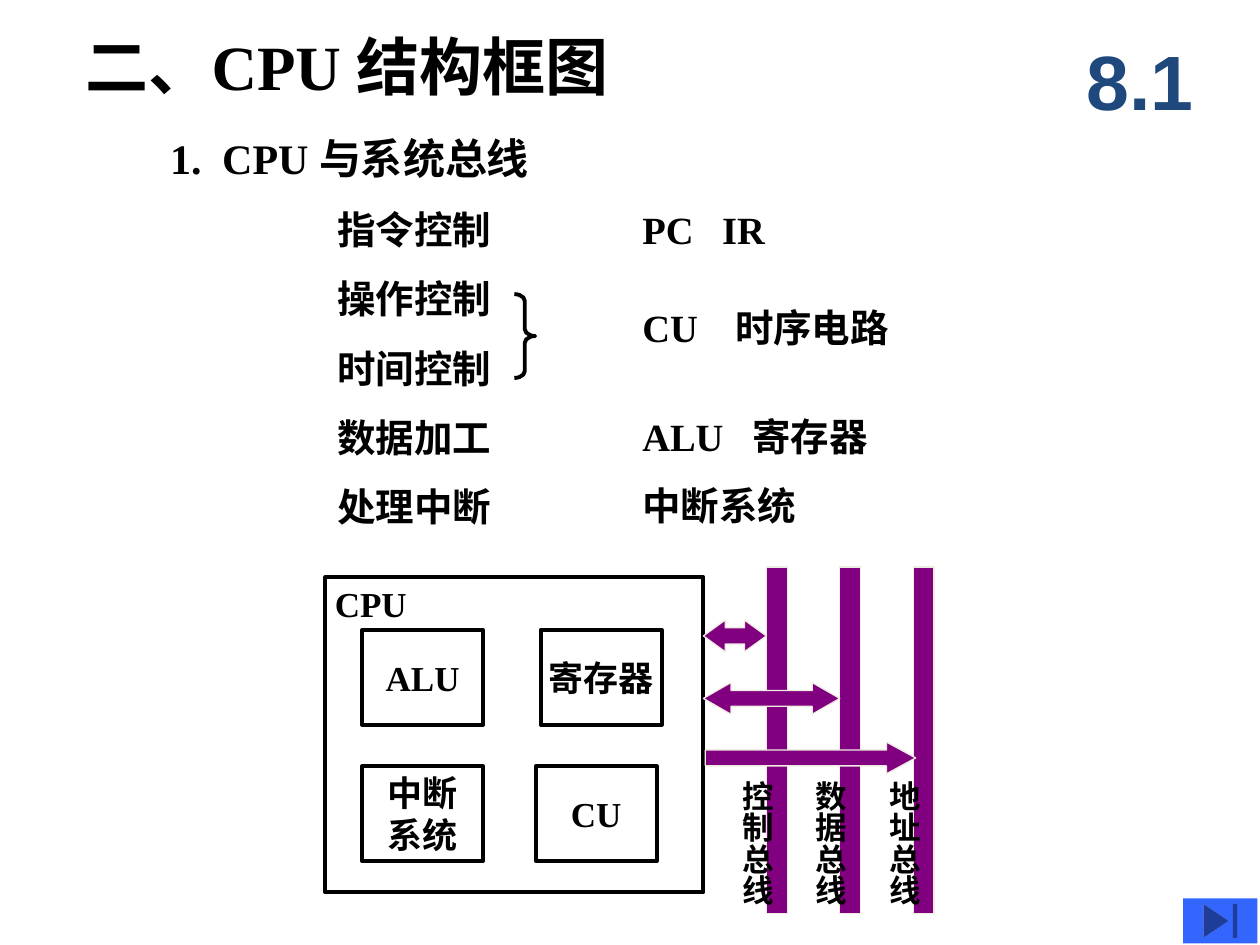
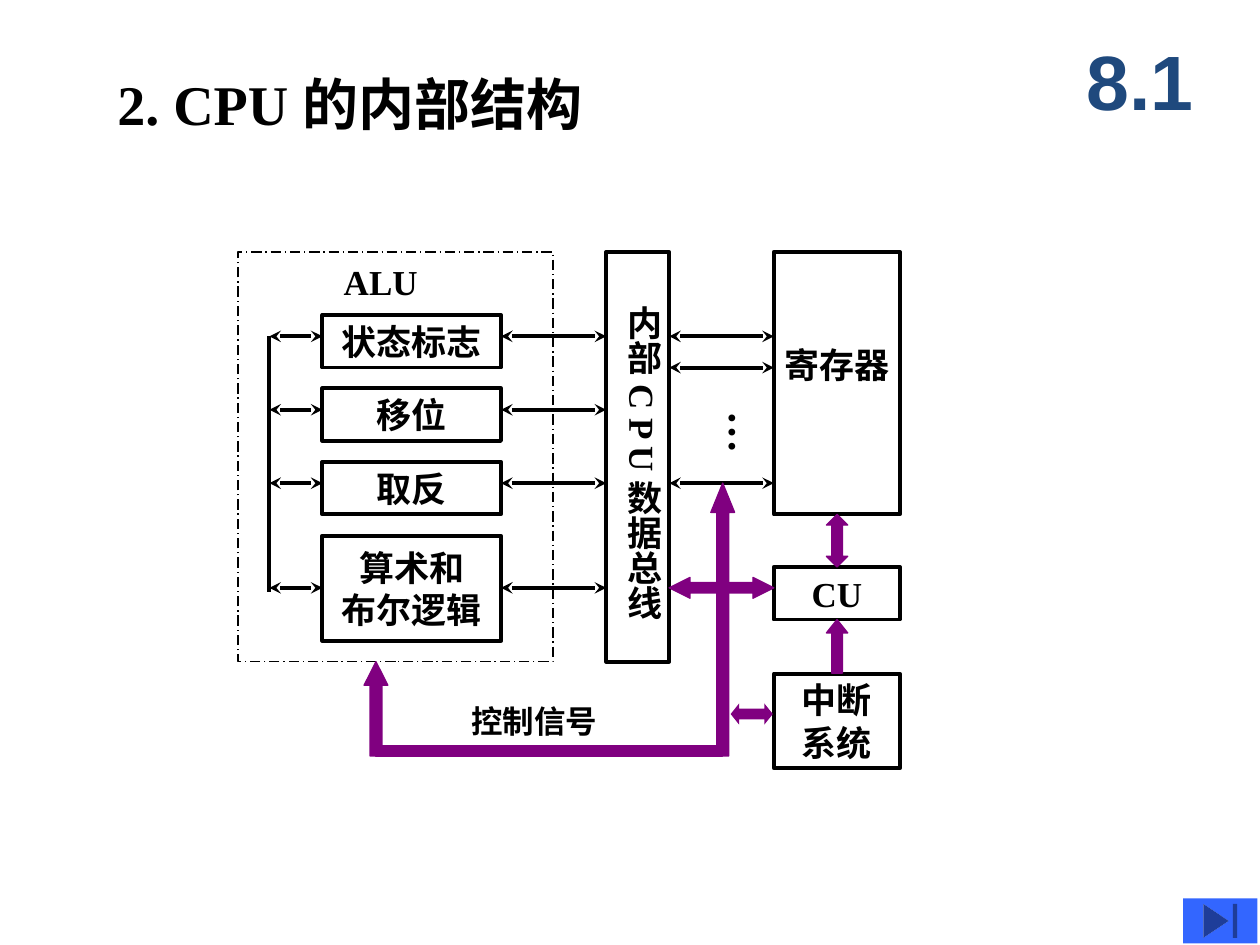
"""Build two slides on the structure of a CPU."""
from dataclasses import dataclass
from typing import Optional

from lxml import etree
from pptx import Presentation, util as u
from pptx.dml.color import RGBColor
from pptx.enum import dml, shapes, text
from pptx.oxml.ns import qn

COLORS = {"ink": "000000", "bus": "800080", "edge": "EEECE1",
          "section": "1F497D", "button": "3366FF"}
SERIF = "Times New Roman"
MSO = shapes.MSO_SHAPE
ALIGN = text.PP_ALIGN
ANCHOR = text.MSO_ANCHOR


@dataclass
class Box:
    """A rectangular area in centimetres."""
    x: float
    y: float
    w: float
    h: float

    def emu(self) -> tuple:
        """Return the area as lengths."""
        return tuple(u.Cm(v) for v in (self.x, self.y, self.w, self.h))


@dataclass
class Label:
    """Free text, optionally vertical or with one tab stop."""
    text: str
    box: Box
    size: float = 20
    tab: Optional[float] = None
    vertical: bool = False


@dataclass
class Unit:
    """An outlined block with centred text."""
    text: str
    box: Box
    lift: float = 0


@dataclass
class Block:
    """A solid bus or block arrow."""
    kind: int
    box: Box
    adj: tuple = ()
    line: Optional[str] = "bus"


@dataclass
class Link:
    """A straight line, with an arrowhead at both ends if asked."""
    x1: float
    y1: float
    x2: float
    y2: float
    heads: bool = True


def color(name: str) -> RGBColor:
    """Look up a named colour."""
    return RGBColor.from_string(COLORS[name])


def format_text(tf, size: float, name: str = "ink", font: str = SERIF,
                align=ALIGN.LEFT) -> None:
    """Apply one bold font and alignment to all paragraphs."""
    for p in tf.paragraphs:
        p.alignment = align
        for r in p.runs:
            f = r.font
            f.size, f.name, f.bold = u.Pt(size), font, True
            f.color.rgb = color(name)


def set_outline(sp, name: Optional[str], width: float) -> None:
    """Set or remove the outline of a shape and drop its shadow."""
    sp.shadow.inherit = False
    if name is None:
        sp.line.fill.background()
    else:
        sp.line.color.rgb = color(name)
        sp.line.width = u.Pt(width)


def fill_placeholder(sp, content: str, box: Box, size: float) -> None:
    """Move a placeholder and give it formatted text."""
    sp.left, sp.top, sp.width, sp.height = box.emu()
    tf = sp.text_frame
    tf.text = content
    tf.auto_size = text.MSO_AUTO_SIZE.NONE
    tf.vertical_anchor = ANCHOR.TOP
    format_text(tf, size)


def add_label(s, label: Label) -> None:
    """Add a text box."""
    tf = s.shapes.add_textbox(*label.box.emu()).text_frame
    tf.word_wrap = False
    tf.text = label.text
    if label.vertical:
        tf._txBody.bodyPr.set("vert", "eaVert")
    if label.tab is not None:
        tabs = etree.SubElement(tf.paragraphs[0]._p.get_or_add_pPr(), qn("a:tabLst"))
        etree.SubElement(tabs, qn("a:tab"), pos=str(u.Cm(label.tab)), algn="l")
    format_text(tf, label.size)


def add_outline(s, kind: int, box: Box, width: float = 2.25):
    """Add an unfilled black shape."""
    sp = s.shapes.add_shape(kind, *box.emu())
    sp.fill.background()
    set_outline(sp, "ink", width)
    return sp


def add_unit(s, unit: Unit) -> None:
    """Add an outlined block with its text."""
    tf = add_outline(s, MSO.RECTANGLE, unit.box).text_frame
    tf.margin_left = tf.margin_right = tf.margin_top = 0
    tf.margin_bottom = u.Cm(unit.lift)
    tf.word_wrap = False
    tf.vertical_anchor = ANCHOR.MIDDLE
    tf.text = unit.text
    format_text(tf, 20, align=ALIGN.CENTER)


def add_block(s, block: Block) -> None:
    """Add a solid purple bar or arrow."""
    sp = s.shapes.add_shape(block.kind, *block.box.emu())
    for i, value in enumerate(block.adj):
        sp.adjustments[i] = value
    sp.fill.solid()
    sp.fill.fore_color.rgb = color("bus")
    set_outline(sp, block.line, 0.75)


def add_link(s, link: Link) -> None:
    """Add a black connector."""
    ends = (u.Cm(v) for v in (link.x1, link.y1, link.x2, link.y2))
    c = s.shapes.add_connector(shapes.MSO_CONNECTOR.STRAIGHT, *ends)
    c.line.color.rgb = color("ink")
    c.line.width = u.Pt(2.25)
    if link.heads:
        ln = c.line._get_or_add_ln()
        for end in ("a:headEnd", "a:tailEnd"):
            etree.SubElement(ln, qn(end), type="stealth")
    etree.SubElement(c._element.spPr, qn("a:effectLst"))


def add_slide(prs, layout: int, title: str, box: Box, size: float):
    """Add a slide with title, section number and end button."""
    s = prs.slides.add_slide(prs.slide_layouts[layout])
    fill_placeholder(s.shapes.title, title, box, size)
    tf = s.shapes.add_textbox(*Box(21.39, 0.43, 3.18, 2.34).emu()).text_frame
    tf.word_wrap = True
    tf.vertical_anchor = ANCHOR.MIDDLE
    tf.text = "8.1"
    format_text(tf, 44, "section", "Arial", ALIGN.CENTER)
    sp = s.shapes.add_shape(MSO.ACTION_BUTTON_END, *Box(23.85, 18.11, 1.5, 0.91).emu())
    sp.fill.solid()
    sp.fill.fore_color.rgb = color("button")
    set_outline(sp, None, 0)
    return s


def build_bus_slide(prs) -> None:
    """Show the CPU functions and the system buses."""
    s = add_slide(prs, 1, "二、CPU 结构框图", Box(1.47, 0.43, 15.88, 1.78), 36)
    functions = "指令控制\n操作控制\n时间控制\n数据加工\n处理中断"
    body = s.placeholders[1]
    fill_placeholder(body, functions, Box(6.55, 3.55, 4, 7.3), 22)
    for p in body.text_frame.paragraphs:
        pPr = p._p.get_or_add_pPr()
        pPr.set("marL", "0")
        pPr.set("indent", "0")
        p.space_before = u.Pt(0)
        p.line_spacing = u.Cm(1.4)
        etree.SubElement(pPr, qn("a:buNone"))

    add_label(s, Label("1.\tCPU 与系统总线", Box(3.18, 2.54, 8.89, 1.27), 24, 1.05))
    parts = [("PC\tIR", 4.02, 1.61), ("CU\t时序电路", 6.01, 1.87),
             ("ALU\t寄存器", 8.21, 2.22), ("中断系统", 9.6, None)]
    for name, y, tab in parts:
        add_label(s, Label(name, Box(12.7, y, 7.62, 1.19), 22, tab))
    brace = add_outline(s, MSO.RIGHT_BRACE, Box(10.37, 5.93, 0.42, 1.69))
    brace.adjustments[0] = 0.33

    add_outline(s, MSO.RECTANGLE, Box(6.56, 11.64, 7.62, 6.35))
    add_label(s, Label("CPU", Box(6.5, 11.61, 1.96, 1.09)))
    for name, x, y in [("ALU", 7.3, 12.7), ("寄存器", 10.9, 12.7),
                       ("中断\n系统", 7.3, 15.45), ("CU", 10.8, 15.45)]:
        add_unit(s, Unit(name, Box(x, y, 2.44, 1.91)))

    buses = [(name, 15.45 + 1.48 * i)
             for i, name in enumerate(("控制总线", "数据总线", "地址总线"))]
    for _, x in buses:
        add_block(s, Block(MSO.RECTANGLE, Box(x, 11.43, 0.42, 6.99), line="edge"))
    for kind, box, adj in [
            (MSO.LEFT_RIGHT_ARROW, Box(14.18, 12.5, 1.27, 0.64), (0.51, 0.69)),
            (MSO.LEFT_RIGHT_ARROW, Box(14.18, 13.76, 2.75, 0.64), (0.5, 0.87)),
            (MSO.RIGHT_ARROW, Box(14.22, 14.96, 4.24, 0.64), (0.5, 0.92))]:
        add_block(s, Block(kind, box, adj, "edge"))
    for name, x in buses:
        add_label(s, Label(name, Box(x - 0.95, 15.49, 1.27, 2.77), 18, vertical=True))


def build_internal_slide(prs) -> None:
    """Show the units joined by the internal data bus."""
    s = add_slide(prs, 5, "2. CPU 的内部结构", Box(2.11, 1.27, 12.9, 1.6), 32)
    alu = add_outline(s, MSO.RECTANGLE, Box(4.8, 5.08, 6.35, 8.26), 0.75)
    alu.line.dash_style = dml.MSO_LINE.LONG_DASH_DOT

    alu_x, alu_w, bus_x, bus_w, right_x = 6.5, 3.6, 12.22, 1.27, 15.6
    for name, y, h in [("状态标志", 6.35, 1.06), ("移位", 7.83, 1.06),
                       ("取反", 9.31, 1.06), ("算术和\n布尔逻辑", 10.8, 2.12)]:
        add_unit(s, Unit(name, Box(alu_x, y, alu_w, h)))
    for name, y, h, lift in [("寄存器", 5.08, 5.29, 0.76), ("CU", 11.43, 1.06, 0),
                             ("中断\n系统", 13.58, 1.91, 0)]:
        add_unit(s, Unit(name, Box(right_x, y, 2.54, h), lift))
    add_outline(s, MSO.RECTANGLE, Box(bus_x, 5.08, bus_w, 8.26))

    spine_x = 5.43
    for y in (6.78, 8.26, 9.74, 11.85):
        add_link(s, Link(spine_x, y, alu_x, y))
        add_link(s, Link(alu_x + alu_w, y, bus_x, y))
    for y in (6.78, 7.41, 9.74):
        add_link(s, Link(bus_x + bus_w, y, right_x, y))
    add_link(s, Link(spine_x, 6.78, spine_x, 11.94, heads=False))

    for block in [
            Block(MSO.LEFT_RIGHT_ARROW, Box(13.49, 11.64, 2.11, 0.42), (0.5, 1)),
            Block(MSO.UP_ARROW, Box(16.66, 12.49, 0.43, 1.08), (0.5, 0.63)),
            Block(MSO.UP_ARROW, Box(14.33, 9.74, 0.48, 5.5), (0.5, 1.23)),
            Block(MSO.UP_ARROW, Box(7.34, 13.34, 0.48, 1.9), (0.5, 0.99)),
            Block(MSO.RECTANGLE, Box(7.57, 15.04, 6.99, 0.2)),
            Block(MSO.LEFT_RIGHT_ARROW, Box(14.73, 14.18, 0.85, 0.43), (0.5, 0.4), None),
            Block(MSO.UP_DOWN_ARROW, Box(16.66, 10.37, 0.43, 1.06), (0.5, 0.5))]:
        add_block(s, block)

    for label in [
            Label("ALU", Box(6.68, 5.13, 2, 1.09)),
            Label("控制信号", Box(9.25, 14.02, 3.07, 1.02), 18),
            Label("内部 C P U 数据总线", Box(12.17, 5.92, 1.35, 6.73), vertical=True),
            Label("…", Box(14.15, 8.05, 1.52, 1.9), 24, vertical=True)]:
        add_label(s, label)


def main() -> None:
    """Build and save the presentation."""
    prs = Presentation()
    prs.slide_width, prs.slide_height = u.Cm(25.4), u.Cm(19.05)
    build_bus_slide(prs)
    build_internal_slide(prs)
    prs.save("out.pptx")


if __name__ == "__main__":
    main()
